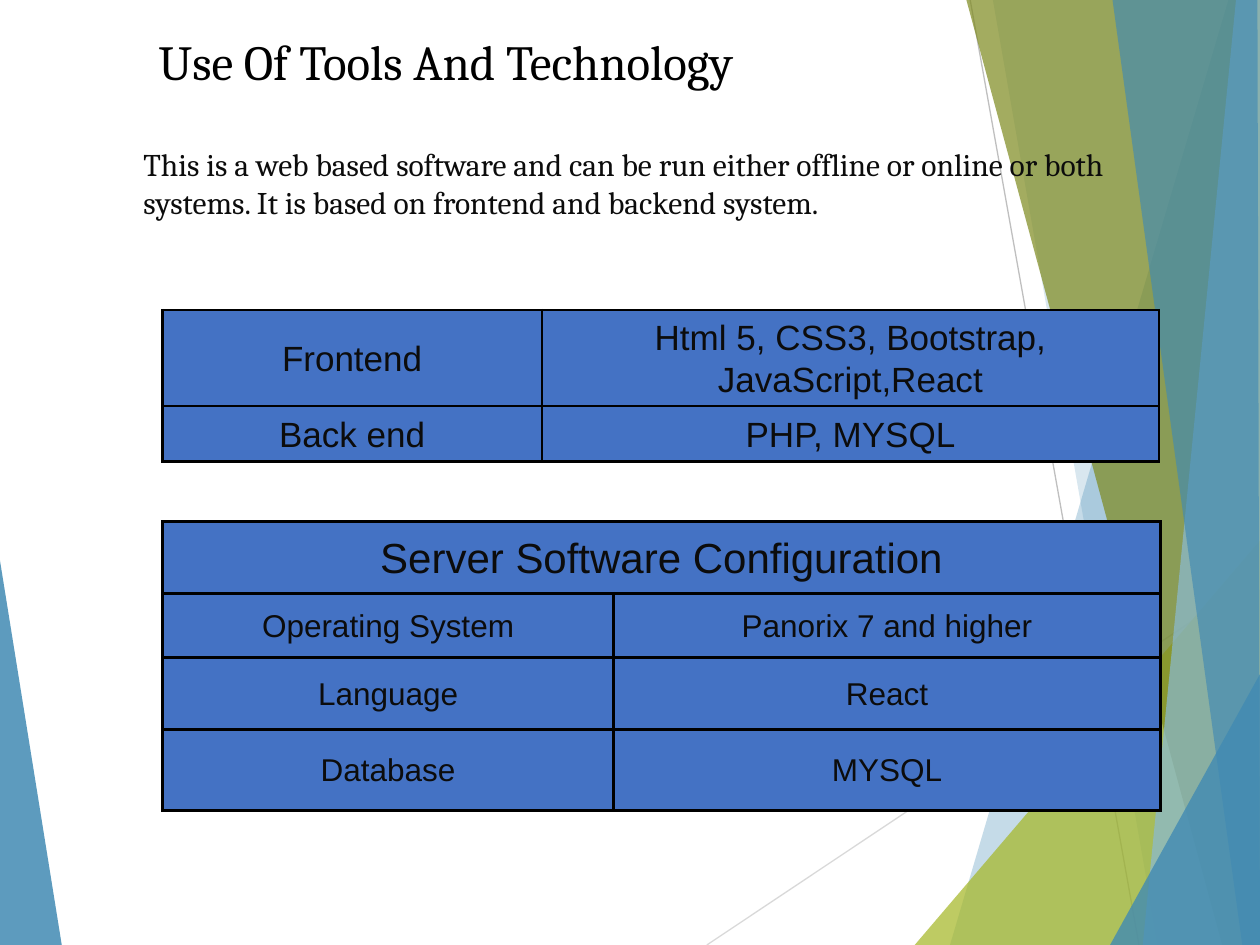
from pptx import Presentation
from pptx import util as u
from pptx.dml.color import RGBColor
from pptx.enum import text
from pptx.oxml import parse_xml
from pptx.oxml.ns import nsdecls, qn
from lxml import etree

THEME = {
    "blue": "418AB3", "pale": "8ABAD4", "lime": "A6B727", "olive": "7D891D",
    "cell": "4472C4", "edge": "000000", "head": "000000", "ink": "0C0C0C",
    "serif": "Cambria", "sans": "Arial",
    "title": 28, "body": 18, "band": 24, "stack": 20, "row": 18,
}
RIGHT, BASE = 10, 7.5


def style(par, face, size, ink, **form):
    """Set font and paragraph format together."""
    par.font.name, par.font.size = THEME[face], u.Pt(THEME[size])
    par.font.color.rgb = RGBColor.from_string(THEME[ink])
    for key, val in form.items():
        setattr(par, key, val)


def border(cell, width):
    """Draw all four edges of a cell, ahead of its fill in the XML."""
    props = cell._tc.get_or_add_tcPr()
    for i, side in enumerate(("lnL", "lnR", "lnT", "lnB")):
        props.insert(i, parse_xml(
            f'<a:{side} {nsdecls("a")} w="{u.Pt(width)}"><a:solidFill>'
            f'<a:srgbClr val="{THEME["edge"]}"/></a:solidFill></a:{side}>'))


prs = Presentation()
prs.slide_width, prs.slide_height = u.Inches(RIGHT), u.Inches(BASE)
slide = prs.slides.add_slide(prs.slide_layouts[5])

# Backdrop: one left wedge, two thin lines, then layered right-hand facets
wedge = ("blue", 85, [(0, 4.45), (0.49, BASE), (0, BASE)])
facets = [
    ("blue", 30, [(9.75, 0), (7.54, BASE), (RIGHT, BASE), (RIGHT, 0)]),
    ("blue", 20, [(7.88, 0), (9.19, BASE), (RIGHT, BASE), (RIGHT, 0)]),
    ("lime", 72, [(7.26, BASE), (RIGHT, 4.29), (RIGHT, BASE)]),
    ("olive", 70, [(7.67, 0), (9.7, BASE), (RIGHT, BASE), (RIGHT, 0)]),
    ("pale", 70, [(9.81, 0), (9.07, BASE), (RIGHT, BASE), (RIGHT, 0)]),
    ("blue", 65, [(8.83, 0), (9.86, BASE), (RIGHT, BASE), (9.98, 0)]),
    ("blue", 80, [(8.81, BASE), (RIGHT, 5.35), (RIGHT, BASE)]),
]
lines = [("D9D9D9", (5.61, BASE, RIGHT, 4.57)), ("BFBFBF", (7.7, 0, 9.04, BASE))]

for tone, ends in lines:
    line = slide.shapes.add_connector(1, *map(u.Inches, ends))
    line.line.color.rgb = RGBColor.from_string(tone)
    line.line.width = u.Pt(0.75)
    etree.SubElement(line._element.spPr, qn("a:effectLst"))

for tone, alpha, points in [wedge, *facets]:
    path = [(u.Inches(x), u.Inches(y)) for x, y in points]
    pen = slide.shapes.build_freeform(*path[0])
    pen.add_line_segments(path[1:], close=True)
    facet = pen.convert_to_shape()
    facet.shadow.inherit = False
    facet.line.fill.background()
    facet.fill.solid()
    facet.fill.fore_color.rgb = RGBColor.from_string(THEME[tone])
    color = facet._element.spPr.find(".//" + qn("a:srgbClr"))
    etree.SubElement(color, qn("a:alpha"), val=str(alpha * 1000))

# Title and introduction
title = slide.shapes.title
place = {"left": 1.16, "top": 0.2, "width": 8.83, "height": 1.25}
for key, val in place.items():
    setattr(title, key, u.Inches(val))
intro = slide.shapes.add_textbox(*map(u.Inches, (1.04, 1.1, 7.93, 1)))
words = [
    (title, "title", "head", "Use Of Tools And Technology"),
    (intro, "body", "ink", "This is a web based software and can be run either offline or "
     "online or both systems. It is based on frontend and backend system."),
]
for box, size, ink, line in words:
    frame = box.text_frame
    frame.text = line
    frame.word_wrap = True
    frame.auto_size = text.MSO_AUTO_SIZE.NONE
    frame.vertical_anchor = text.MSO_ANCHOR.TOP
    style(frame.paragraphs[0], "serif", size, ink, alignment=text.PP_ALIGN.LEFT)

# Tables
tables = [
    {"top": 2.46, "edge": 1.47, "cols": [3.01, 4.9], "rows": [0.71, 0.44],
     "sizes": ["stack"] * 2,
     "data": [["Frontend", "Html 5, CSS3, Bootstrap, JavaScript,React"],
              ["Back end", "PHP, MYSQL"]]},
    {"top": 4.14, "edge": 1.98, "cols": [3.58, 4.34], "rows": [0.57, 0.51, 0.57, 0.64],
     "sizes": ["band"] + ["row"] * 3,
     "data": [["Server Software Configuration", ""],
              ["Operating System", "Panorix 7 and higher"],
              ["Language", "React"],
              ["Database", "MYSQL"]]},
]
inset = {"margin_left": 0.07, "margin_right": 0.07, "margin_top": 0.05, "margin_bottom": 0.05}
for item in tables:
    cols, rows = item["cols"], item["rows"]
    area = (1.29, item["top"], sum(cols), sum(rows))
    grid = slide.shapes.add_table(len(rows), len(cols), *map(u.Inches, area)).table
    grid.first_row = grid.horz_banding = False
    for col, width in zip(grid.columns, cols):
        col.width = u.Inches(width)
    for row, high, size, data in zip(grid.rows, rows, item["sizes"], item["data"]):
        row.height = u.Inches(high)
        for cell, value in zip(row.cells, data):
            cell.text = value
            cell.vertical_anchor = text.MSO_ANCHOR.MIDDLE
            for key, val in inset.items():
                setattr(cell, key, u.Inches(val))
            cell.fill.solid()
            cell.fill.fore_color.rgb = RGBColor.from_string(THEME["cell"])
            border(cell, item["edge"])
            style(cell.text_frame.paragraphs[0], "sans", size, "ink",
                  alignment=text.PP_ALIGN.CENTER, line_spacing=1.07)
        if not data[1]:
            row.cells[0].merge(row.cells[1])

prs.save("out.pptx")
